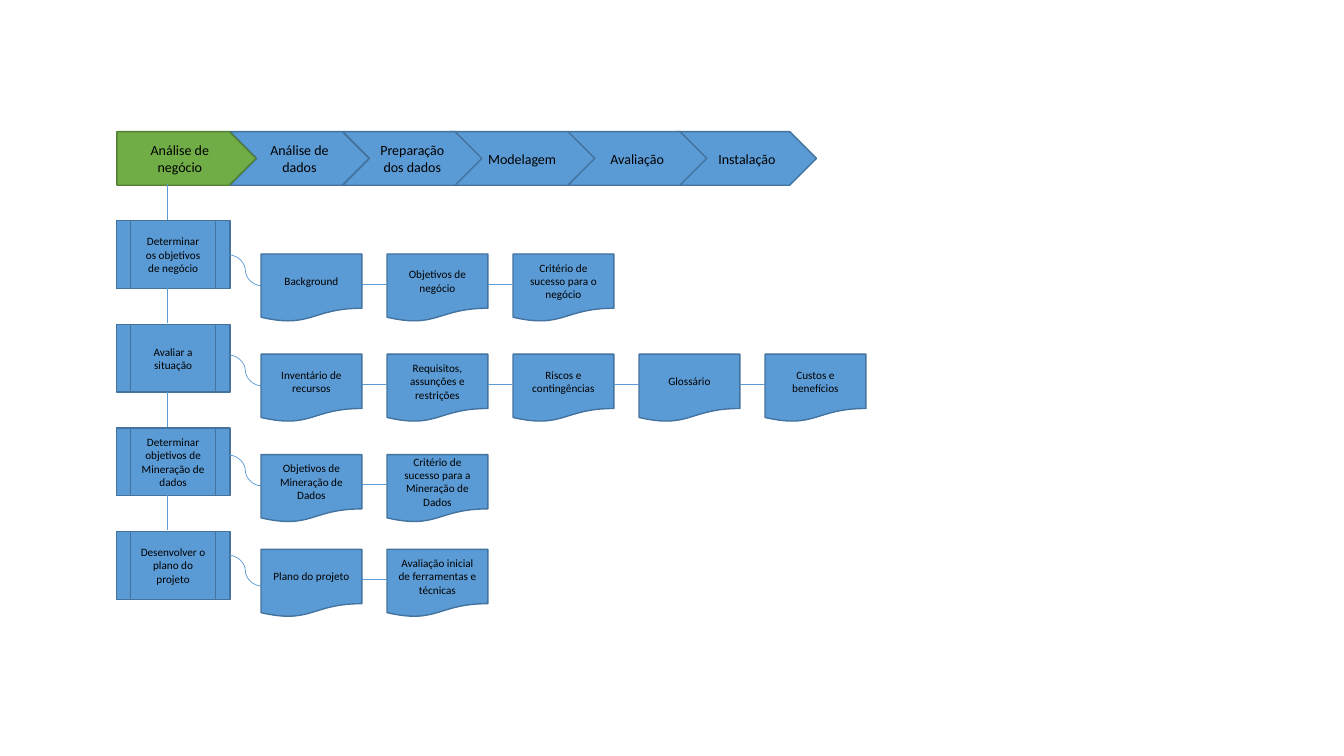
from dataclasses import dataclass

from lxml.etree import SubElement
from pptx import Presentation
from pptx.dml.color import RGBColor
from pptx.enum.shapes import MSO_CONNECTOR, MSO_SHAPE
from pptx.enum.text import MSO_ANCHOR, PP_ALIGN
from pptx.oxml.ns import qn
from pptx.util import Pt


@dataclass(frozen=True)
class Theme:
    font: str = "Calibri"
    ink: str = "000000"
    blue: str = "5B9BD5"
    edge: str = "43739E"
    green: str = "70AD47"
    moss: str = "538035"
    large: float = 10
    small: float = 8
    border: float = 1
    thin: float = 0.5


class Board:
    def __init__(self, slide, theme):
        self.slide = slide
        self.theme = theme

    def box(self, kind, text, left, top, width, height, size, fill, edge):
        shape = self.slide.shapes.add_shape(
            kind, Pt(left), Pt(top), Pt(width), Pt(height))
        shape.shadow.inherit = False
        shape.fill.solid()
        shape.fill.fore_color.rgb = RGBColor.from_string(fill)
        shape.line.color.rgb = RGBColor.from_string(edge)
        shape.line.width = Pt(self.theme.border)
        frame = shape.text_frame
        frame.word_wrap = True
        frame.vertical_anchor = MSO_ANCHOR.MIDDLE
        frame.text = text
        para = frame.paragraphs[0]
        para.alignment = PP_ALIGN.CENTER
        para.font.name = self.theme.font
        para.font.size = Pt(size)
        para.font.color.rgb = RGBColor.from_string(self.theme.ink)

    def stage(self, text, left, width, first):
        look = self.theme
        kind = MSO_SHAPE.PENTAGON if first else MSO_SHAPE.CHEVRON
        fill, edge = (look.green, look.moss) if first else (look.blue, look.edge)
        self.box(kind, text, left, 94, width, 38.3, look.large, fill, edge)

    def task(self, text, top):
        look = self.theme
        self.box(MSO_SHAPE.FLOWCHART_PREDEFINED_PROCESS, text, 83.2, top,
                 81, 48.4, look.small, look.blue, look.edge)

    def report(self, text, left, top):
        look = self.theme
        self.box(MSO_SHAPE.FLOWCHART_DOCUMENT, text, left, top,
                 72, 48.4, look.small, look.blue, look.edge)

    def link(self, left, top, right, bottom, kind=MSO_CONNECTOR.STRAIGHT):
        line = self.slide.shapes.add_connector(
            kind, Pt(left), Pt(top), Pt(right), Pt(bottom))
        line.line.color.rgb = RGBColor.from_string(self.theme.blue)
        line.line.width = Pt(self.theme.thin)
        SubElement(line._element.spPr, qn("a:effectLst"))


STAGES = [
    ("Análise de negócio", 83.5, 99.4),
    ("Análise de dados", 164.2, 99.4),
    ("Preparação dos dados", 244.8, 99.4),
    ("Modelagem", 321.1, 103.7),
    ("Avaliação", 405.4, 99.4),
    ("Instalação", 483.8, 99.4),
]
# Each task with the top of its row of reports
TASKS = [
    ("Determinar os objetivos de negócio", 181.4,
     ["Background", "Objetivos de negócio",
      "Critério de sucesso para o negócio"]),
    ("Avaliar a situação", 253,
     ["Inventário de recursos", "Requisitos, assunções e restrições",
      "Riscos e contingências", "Glossário", "Custos e benefícios"]),
    ("Determinar objetivos de Mineração de dados", 324.7,
     ["Objetivos de Mineração de Dados",
      "Critério de sucesso para a Mineração de Dados"]),
    ("Desenvolver o plano do projeto", 392.4,
     ["Plano do projeto", "Avaliação inicial de ferramentas e técnicas"]),
]


def main():
    deck = Presentation()
    deck.slide_width, deck.slide_height = Pt(960), Pt(540)
    board = Board(deck.slides.add_slide(deck.slide_layouts[6]), Theme())

    for step, (text, left, width) in reversed(list(enumerate(STAGES))):
        board.stage(text, left, width, first=step == 0)

    for row, (text, level, reports) in enumerate(TASKS):
        top = 157.7 + 74 * row
        board.task(text, top)
        board.link(119.3, top - 26, 119.3, top - 0.8)
        bend = 182.2 + 71.5 * row
        board.link(164, bend, 186.5, bend + 21.8, MSO_CONNECTOR.CURVE)
        for col, name in enumerate(reports):
            left = 186.5 + 90 * col
            board.report(name, left, level)
            if col:
                board.link(left - 18, level + 21.5, left, level + 21.5)

    deck.save("out.pptx")


if __name__ == "__main__":
    main()
